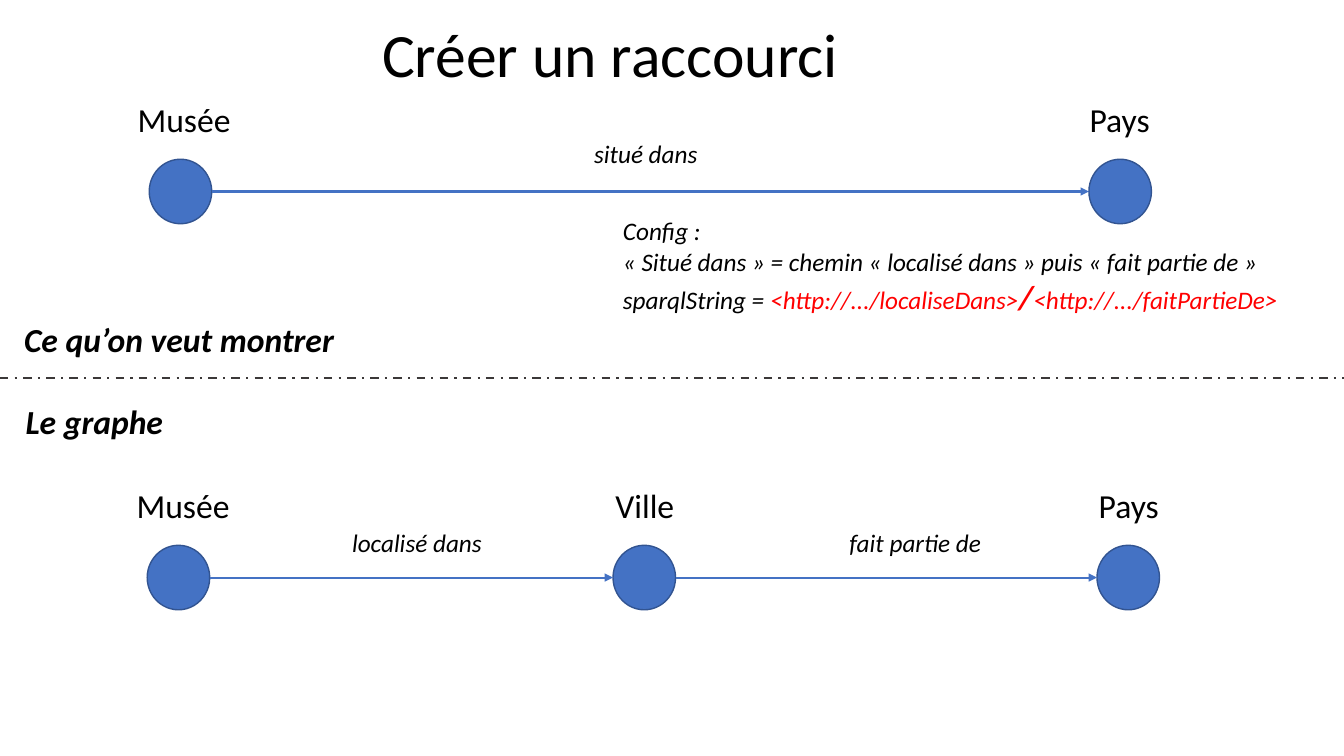
from lxml.etree import SubElement
from pptx import Presentation
from pptx.dml.color import RGBColor
from pptx.enum.dml import MSO_LINE
from pptx.enum.shapes import MSO_CONNECTOR, MSO_SHAPE
from pptx.enum.text import MSO_ANCHOR, PP_ALIGN
from pptx.oxml.ns import qn
from pptx.util import Inches, Pt

COLORS = {"node": "4472C4", "node_line": "325491", "divider": "3B3838",
          "text": "000000", "path": "FF0000"}
FONT = "Calibri"
TITLE = "Créer un raccourci"

GRAPHS = [
    {"top": 1.58,
     "nodes": [("Musée", 1.48, 0.78), ("Pays", 10.8, 10.06)],
     "relations": [("situé dans", 5.36, 1.32)]},
    {"top": 5.41,
     "nodes": [("Musée", 1.46, 0.77), ("Ville", 6.08, 5.35), ("Pays", 10.88, 10.15)],
     "relations": [("localisé dans", 3.09, 5.18), ("fait partie de ", 8.06, 5.18)]},
]
SECTIONS = [("Ce qu’on veut montrer", 0.14, 3.11, 6.38, PP_ALIGN.LEFT),
            ("Le graphe", -0.11, 3.93, 2.09, PP_ALIGN.CENTER)]
CONFIG = [
    [("Config :", "text", 18)],
    [("« Situé dans » = chemin « localisé dans » puis « fait partie de »", "text", 18)],
    [("sparqlString = ", "text", 18), ("<http://.../localiseDans>", "path", 18),
     ("/", "path", 24), ("<http://.../faitPartieDe>", "path", 18)],
]

NODE_WIDTH, NODE_HEIGHT = 0.62, 0.64
LABEL_WIDTH, LABEL_RISE = 2.09, 0.65
DIVIDER_Y = 3.75


def color(name):
    return RGBColor.from_string(COLORS[name])


def style(paragraph, size, bold=False, italic=False, align=PP_ALIGN.LEFT):
    paragraph.alignment = align
    font = paragraph.font
    font.name, font.size = FONT, Pt(size)
    font.bold, font.italic = bold, italic
    font.color.rgb = color("text")


def add_text_box(slide, left, top, width, height):
    box = slide.shapes.add_textbox(Inches(left), Inches(top), Inches(width), Inches(height))
    box.text_frame.word_wrap = True
    return box.text_frame


def add_label(slide, text, left, top, width, size, **options):
    frame = add_text_box(slide, left, top, width, 0.5 if size == 24 else 0.4)
    frame.text = text
    style(frame.paragraphs[0], size, **options)


def add_line(slide, start, end, y, color_name):
    line = slide.shapes.add_connector(MSO_CONNECTOR.STRAIGHT, Inches(start), Inches(y),
                                      Inches(end), Inches(y))
    line.line.color.rgb = color(color_name)
    line.line.width = Pt(1.5)
    SubElement(line._element.spPr, qn("a:effectLst"))
    return line


def add_node(slide, left, top):
    node = slide.shapes.add_shape(MSO_SHAPE.OVAL, Inches(left), Inches(top),
                                  Inches(NODE_WIDTH), Inches(NODE_HEIGHT))
    node.shadow.inherit = False
    node.fill.solid()
    node.fill.fore_color.rgb = color("node")
    node.line.color.rgb = color("node_line")
    node.line.width = Pt(1)


def add_graph(slide, graph):
    top, nodes = graph["top"], graph["nodes"]
    for name, left, label_left in nodes:
        add_node(slide, left, top)
        add_label(slide, name, label_left, top - LABEL_RISE, LABEL_WIDTH, 24,
                  align=PP_ALIGN.CENTER)
    for source, target in zip(nodes, nodes[1:]):
        arrow = add_line(slide, source[1] + NODE_WIDTH, target[1],
                         top + NODE_HEIGHT / 2, "node")
        SubElement(arrow.line._get_or_add_ln(), qn("a:tailEnd"), type="triangle")
    for text, left, label_top in graph["relations"]:
        add_label(slide, text, left, label_top, LABEL_WIDTH, 18, italic=True,
                  align=PP_ALIGN.CENTER)


def add_title(slide):
    title = slide.shapes.title
    title.left, title.top = Inches(3.69), Inches(0.19)
    title.width, title.height = Inches(9.5), Inches(1.45)
    title.text_frame.text = TITLE
    title.text_frame.vertical_anchor = MSO_ANCHOR.TOP
    paragraph = title.text_frame.paragraphs[0]
    style(paragraph, 44)
    paragraph.line_spacing = 0.9


def add_config(slide):
    frame = add_text_box(slide, 6.08, 2.09, 7.11, 1.11)
    for index, runs in enumerate(CONFIG):
        paragraph = frame.add_paragraph() if index else frame.paragraphs[0]
        style(paragraph, 18, italic=True)
        for text, color_name, size in runs:
            run = paragraph.add_run()
            run.text = text
            run.font.color.rgb = color(color_name)
            run.font.size = Pt(size)
            run.font.bold = size == 24


def main():
    presentation = Presentation()
    presentation.slide_width, presentation.slide_height = Inches(13.33), Inches(7.5)
    slide = presentation.slides.add_slide(presentation.slide_layouts[5])
    add_title(slide)
    for graph in GRAPHS:
        add_graph(slide, graph)
    divider = add_line(slide, 0, 13.33, DIVIDER_Y, "divider")
    divider.line.dash_style = MSO_LINE.DASH_DOT
    for text, left, top, width, align in SECTIONS:
        add_label(slide, text, left, top, width, 24, bold=True, italic=True, align=align)
    add_config(slide)
    presentation.save("out.pptx")


if __name__ == "__main__":
    main()
